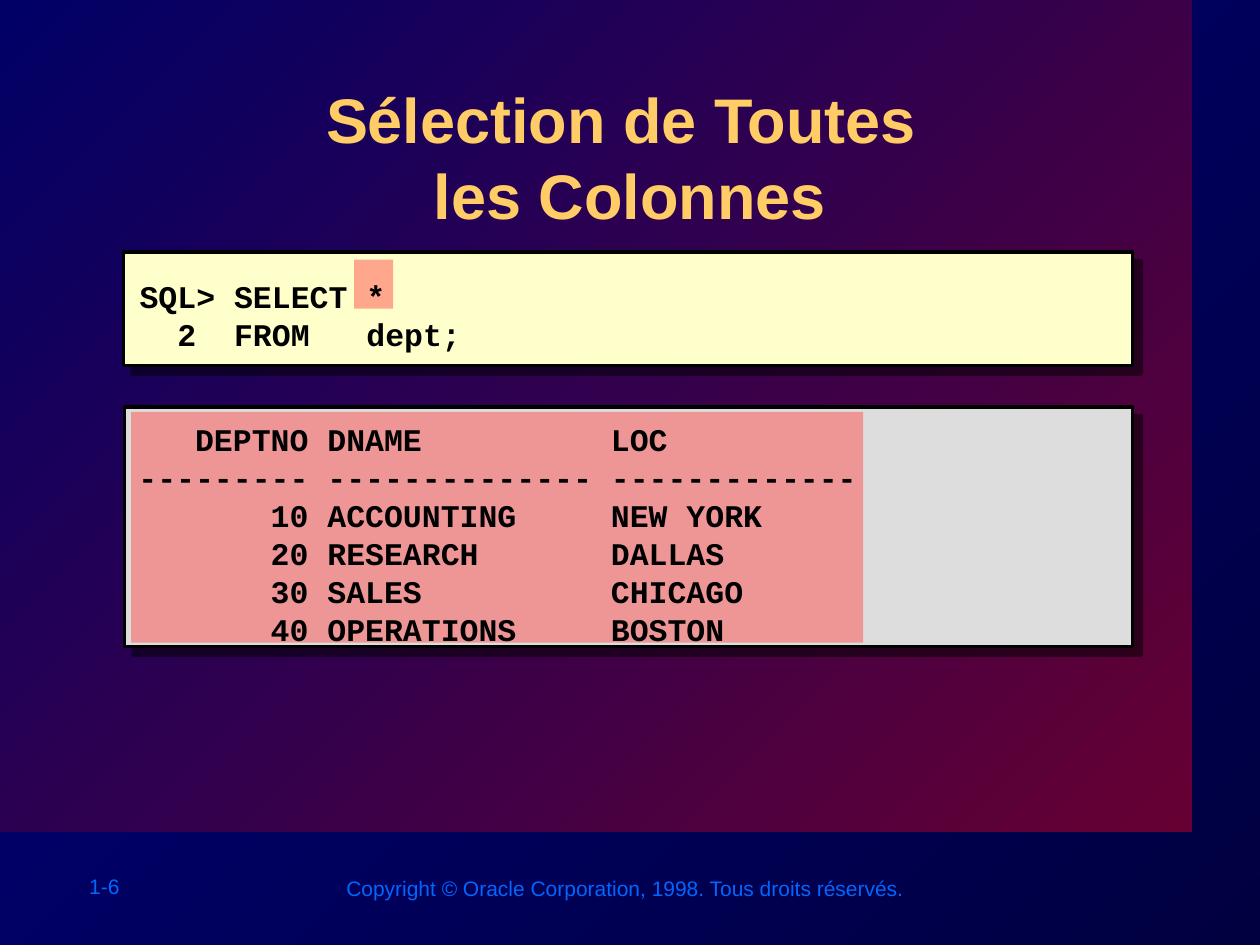
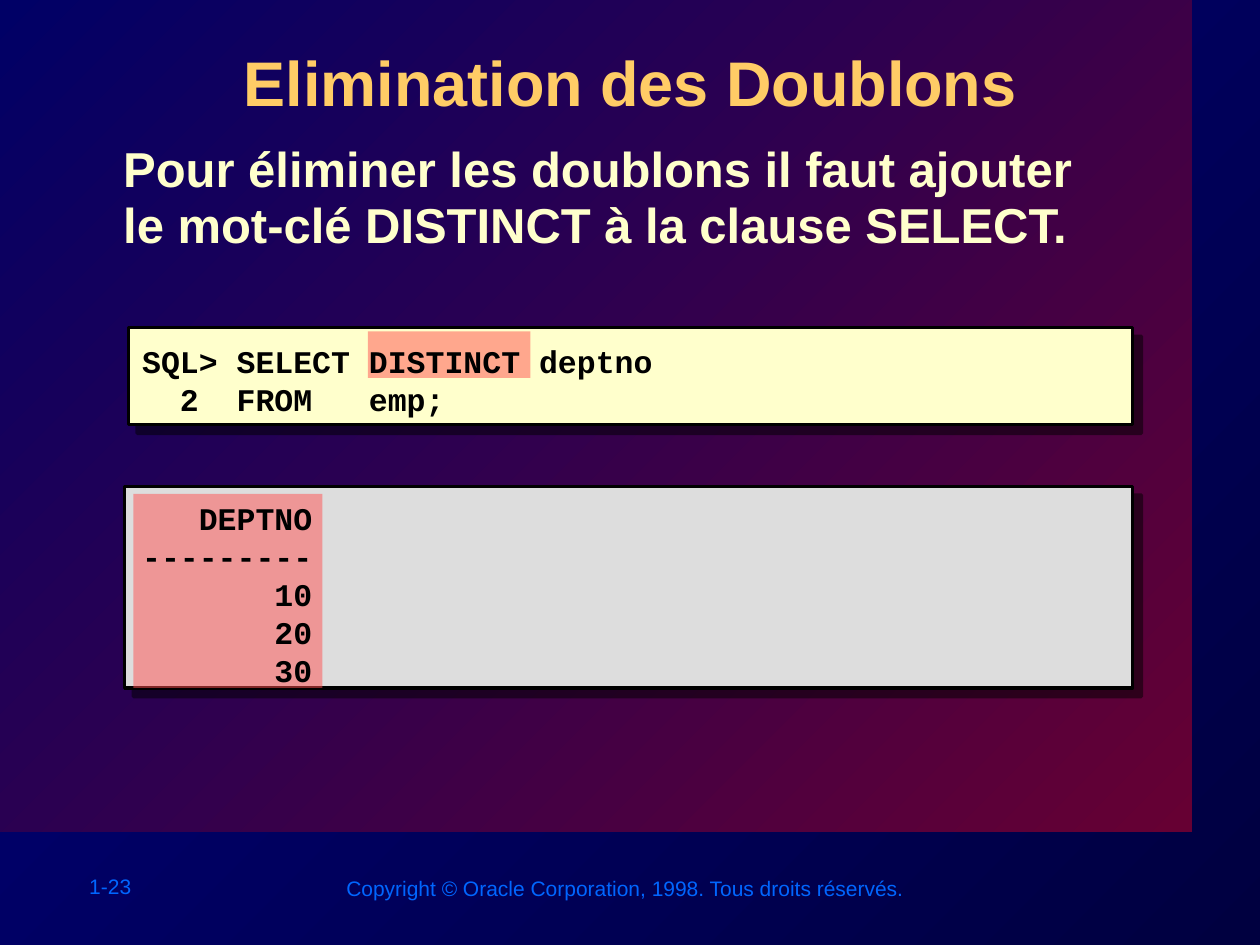
from lxml import etree
from pptx import Presentation
from pptx.dml.color import RGBColor
from pptx.enum import shapes, text
from pptx.oxml import ns
from pptx.util import Inches, Pt

BACKGROUND_START = RGBColor(0x00, 0x00, 0x80)
BACKGROUND_END = RGBColor(0x00, 0x00, 0x40)
STAGE_START = RGBColor(0x00, 0x00, 0x66)
STAGE_END = RGBColor(0x66, 0x00, 0x33)
FOOTER_BLUE = RGBColor(0x00, 0x66, 0xFF)
GOLD = RGBColor(0xFF, 0xCC, 0x66)
CREAM = RGBColor(0xFF, 0xFF, 0xCC)
GREY = RGBColor(0xDD, 0xDD, 0xDD)
RED = RGBColor(0xFF, 0x50, 0x50)
BLACK = RGBColor(0x00, 0x00, 0x00)

LINE_HEIGHT = 1.206
COPYRIGHT = "Copyright © Oracle Corporation, 1998. Tous droits réservés."

TITLE_STYLE = {"name": "Arial", "size": Pt(36), "bold": True, "color": GOLD}
BODY_STYLE = {"name": "Arial", "size": Pt(28), "bold": True, "color": CREAM}
CODE_STYLE = {"name": "Courier New", "size": Pt(18), "bold": True, "color": BLACK}
FOOTER_STYLE = {"name": "Arial", "size": Pt(12), "bold": False, "color": FOOTER_BLUE}


def apply_gradient(fill, start, end):
    """Fill diagonally from top left to bottom right."""
    fill.gradient()
    fill.gradient_angle = 315
    for stop, color, position in zip(fill.gradient_stops, (start, end), (0, 1)):
        stop.color.rgb = color
        stop.position = position


def add_alpha(color_element, percent):
    alpha = etree.SubElement(color_element, ns.qn("a:alpha"))
    alpha.set("val", str(percent * 1000))


def add_outer_shadow(effect_list, distance):
    """Cast a half-transparent black shadow to the lower right."""
    shadow = etree.SubElement(effect_list, ns.qn("a:outerShdw"))
    for name, value in {"dist": Pt(distance), "dir": 45 * 60000, "algn": "ctr"}.items():
        shadow.set(name, str(value))
    color = etree.SubElement(shadow, ns.qn("a:srgbClr"))
    color.set("val", str(BLACK))
    add_alpha(color, 50)


def add_rectangle(slide, box):
    shape = slide.shapes.add_shape(
        shapes.MSO_SHAPE.RECTANGLE, *(Inches(length) for length in box))
    shape.shadow.inherit = False
    shape.line.fill.background()
    return shape


def add_panel(slide, box, color):
    panel = add_rectangle(slide, box)
    panel.fill.solid()
    panel.fill.fore_color.rgb = color
    panel.line.color.rgb = BLACK
    panel.line.width = Pt(2)
    properties = panel.element.find(ns.qn("p:spPr"))
    add_outer_shadow(properties.find(ns.qn("a:effectLst")), 7.1)


def add_highlight(slide, box):
    highlight = add_rectangle(slide, box)
    highlight.fill.solid()
    highlight.fill.fore_color.rgb = RED
    properties = highlight.element.find(ns.qn("p:spPr"))
    add_alpha(properties.find(ns.qn("a:solidFill"))[0], 50)


def add_text(slide, box, lines, style, spacing=LINE_HEIGHT, wrap=True,
             anchor=text.MSO_ANCHOR.TOP, alignment=text.PP_ALIGN.LEFT):
    """Add a text box with one paragraph for each line; return its frame."""
    frame = slide.shapes.add_textbox(*(Inches(length) for length in box)).text_frame
    frame.word_wrap = wrap
    frame.vertical_anchor = anchor
    for index, line in enumerate(lines):
        paragraph = frame.add_paragraph() if index else frame.paragraphs[0]
        paragraph.text = line
        paragraph.alignment = alignment
        paragraph.line_spacing = Pt(round(style["size"].pt * spacing, 1))
        for run in paragraph.runs:
            for name, value in style.items():
                if name == "color":
                    run.font.color.rgb = value
                else:
                    setattr(run.font, name, value)
    return frame


def add_title(slide, box, title):
    frame = add_text(slide, box, [title], TITLE_STYLE,
                     alignment=text.PP_ALIGN.CENTER)
    for latin in frame.paragraphs[0]._p.iter(ns.qn("a:latin")):
        effect_list = etree.Element(ns.qn("a:effectLst"))
        latin.addprevious(effect_list)
        add_outer_shadow(effect_list, 4)


def add_query(slide, box, lines):
    add_text(slide, box, lines, CODE_STYLE, anchor=text.MSO_ANCHOR.MIDDLE)


def add_base_slide(presentation, number):
    """Add a slide with the shared background, stage and footer."""
    slide = presentation.slides.add_slide(presentation.slide_layouts[6])
    apply_gradient(slide.background.fill, BACKGROUND_START, BACKGROUND_END)
    stage = add_rectangle(slide, (0, 0, 9.46, 6.6))
    apply_gradient(stage.fill, STAGE_START, STAGE_END)
    add_text(slide, (0.61, 6.88, 1.11, 0.3), [number], FOOTER_STYLE, wrap=False)
    add_text(slide, (2.65, 6.9, 4.66, 0.3), [COPYRIGHT], FOOTER_STYLE, wrap=False)
    return slide


def add_all_columns_slide(presentation):
    slide = add_base_slide(presentation, "1-6")
    add_panel(slide, (0.99, 3.23, 8, 1.9), GREY)
    add_panel(slide, (0.98, 2, 8.01, 0.9), CREAM)
    add_highlight(slide, (2.81, 2.06, 0.31, 0.39))
    add_highlight(slide, (1.04, 3.27, 5.81, 1.83))
    add_title(slide, (1.01, 0.59, 7.98, 0.96), "Sélection de Toutes \vles Colonnes")
    add_text(slide, (1, 3.28, 7.97, 1.9), [
        "   DEPTNO DNAME          LOC",
        "--------- -------------- -------------",
        "       10 ACCOUNTING     NEW YORK",
        "       20 RESEARCH       DALLAS",
        "       30 SALES          CHICAGO",
        "       40 OPERATIONS     BOSTON",
    ], CODE_STYLE)
    add_query(slide, (1.01, 2.03, 7.96, 0.93), ["SQL> SELECT *", "  2  FROM   dept;"])


def add_distinct_slide(presentation):
    slide = add_base_slide(presentation, "1-23")
    add_panel(slide, (1.02, 2.6, 7.97, 0.77), CREAM)
    add_panel(slide, (0.99, 3.86, 8, 1.6), GREY)
    add_title(slide, (0.65, 0.29, 8.71, 0.96), "Elimination des Doublons")
    add_text(slide, (0.88, 1.07, 8.06, 0.99), [
        "Pour éliminer les doublons il faut ajouter "
        "le mot-clé DISTINCT à la clause SELECT.",
    ], BODY_STYLE, spacing=0.95 * LINE_HEIGHT)
    add_highlight(slide, (2.92, 2.63, 1.29, 0.37))
    add_highlight(slide, (1.06, 3.92, 1.5, 1.54))
    add_query(slide, (1.03, 2.62, 8, 0.79),
              ["SQL> SELECT DISTINCT deptno", "  2  FROM   emp;"])
    add_text(slide, (1.03, 3.91, 7.97, 1.9), [
        "   DEPTNO",
        "---------",
        "       10",
        "       20",
        "       30",
    ], CODE_STYLE)


def main():
    presentation = Presentation()
    presentation.slide_width = Inches(10)
    presentation.slide_height = Inches(7.5)
    add_all_columns_slide(presentation)
    add_distinct_slide(presentation)
    presentation.save("out.pptx")


if __name__ == "__main__":
    main()
